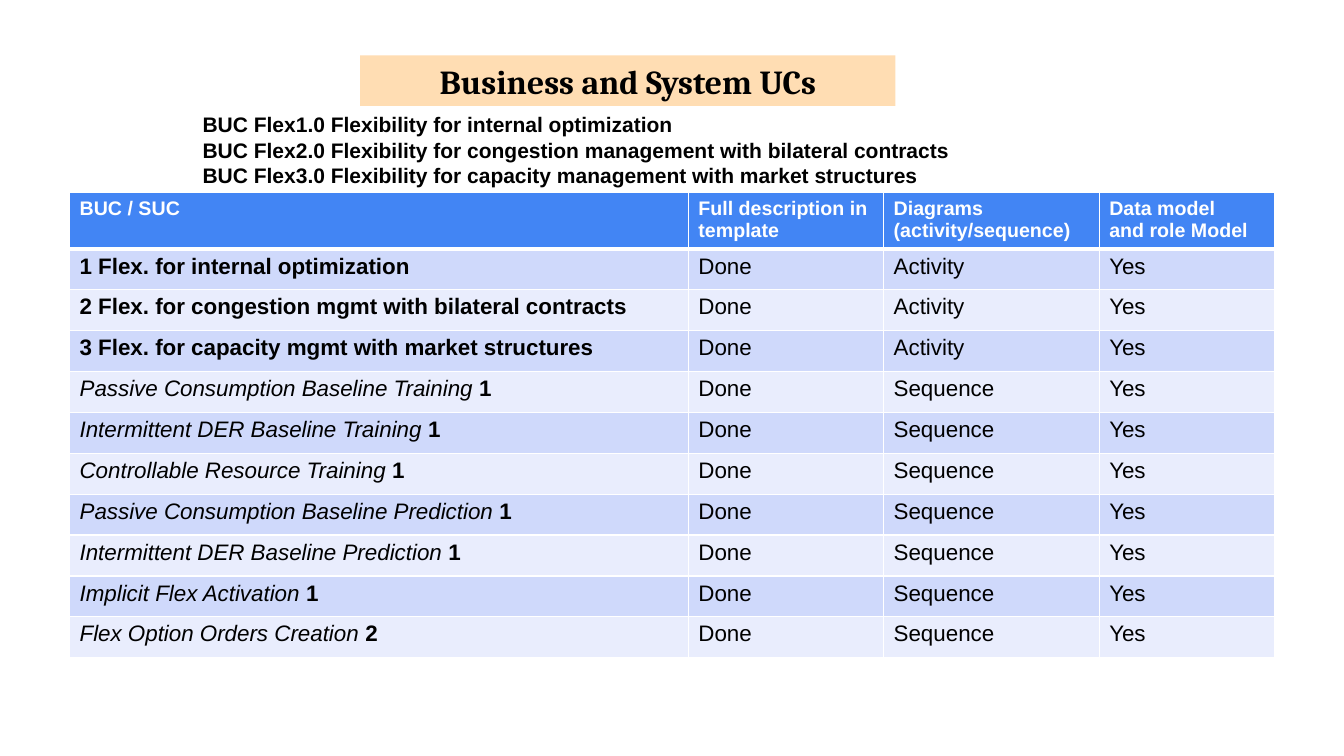
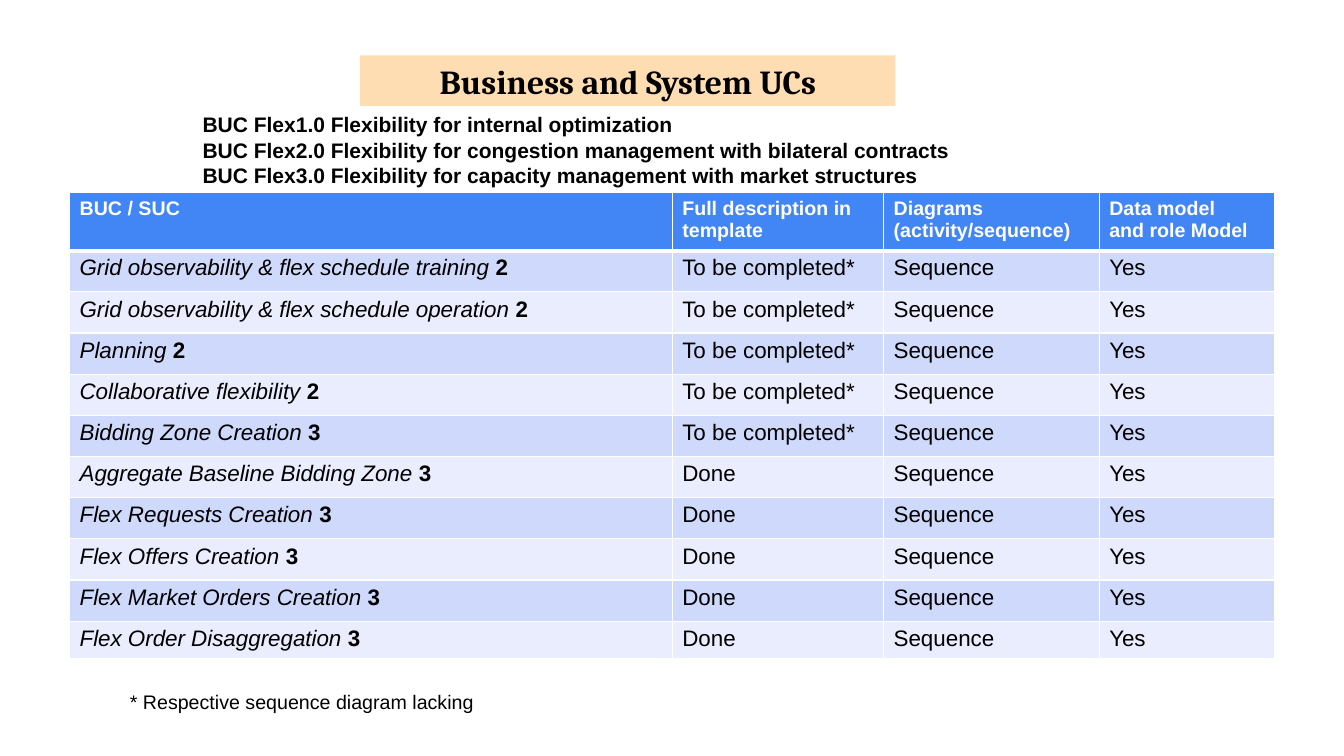
from pptx import Presentation
from pptx.dml.color import RGBColor
from pptx.enum.text import MSO_ANCHOR, MSO_AUTO_SIZE, PP_ALIGN
from pptx.oxml import parse_xml
from pptx.oxml.ns import nsdecls
from pptx.util import Pt

COLORS = {
    "text": "000000",
    "white": "FFFFFF",
    "title_fill": "FFDDB3",
    "header": "4285F4",
    "odd_row": "CFD9FB",
    "even_row": "E9EDFD",
}
FORMATS = {
    "title": {"name": "Cambria", "size": Pt(24), "bold": True},
    "use_case": {"name": "Arial", "size": Pt(15), "bold": True},
    "header": {"name": "Arial", "size": Pt(14), "bold": True},
    "strong": {"name": "Arial", "size": Pt(16), "bold": True},
    "system": {"name": "Arial", "size": Pt(16), "bold": False, "italic": True},
    "plain": {"name": "Arial", "size": Pt(16), "bold": False},
    "footnote": {"name": "Arial", "size": Pt(14)},
}

TITLE = "Business and System UCs"
USE_CASES = [
    "BUC Flex1.0 Flexibility for internal optimization",
    "BUC Flex2.0 Flexibility for congestion management with bilateral contracts",
    "BUC Flex3.0 Flexibility for capacity management with market structures",
]
HEADERS = [
    "BUC / SUC",
    "Full description in template",
    "Diagrams (activity/sequence)",
    "Data model\nand role Model",
]
DONE, PENDING = "Done", "To be completed*"

# Each row: system use case, number of its business use case, description status.
# A business use case has no number.
SLIDES = [
    {
        "rows": [
            ("1 Flex. for internal optimization", None, DONE),
            ("2 Flex. for congestion mgmt with bilateral contracts", None, DONE),
            ("3 Flex. for capacity mgmt with market structures", None, DONE),
            ("Passive Consumption Baseline Training", 1, DONE),
            ("Intermittent DER Baseline Training", 1, DONE),
            ("Controllable Resource Training", 1, DONE),
            ("Passive Consumption Baseline Prediction", 1, DONE),
            ("Intermittent DER Baseline Prediction", 1, DONE),
            ("Implicit Flex Activation", 1, DONE),
            ("Flex Option Orders Creation", 2, DONE),
        ],
        "widths": [442, 139.5, 154, 125.5],
        "heights": [40.3] + [29.2] * 10,
        "footnote": None,
    },
    {
        "rows": [
            ("Grid observability & flex schedule training", 2, PENDING),
            ("Grid observability & flex schedule operation", 2, PENDING),
            ("Planning", 2, PENDING),
            ("Collaborative flexibility", 2, PENDING),
            ("Bidding Zone Creation", 3, PENDING),
            ("Aggregate Baseline Bidding Zone", 3, DONE),
            ("Flex Requests Creation", 3, DONE),
            ("Flex Offers Creation", 3, DONE),
            ("Flex Market Orders Creation", 3, DONE),
            ("Flex Order Disaggregation", 3, DONE),
        ],
        "widths": [430.5, 151, 154, 125.5],
        "heights": [41.6] + [29.4] * 9 + [26.5],
        "footnote": "* Respective sequence diagram lacking",
    },
]


def rgb(color):
    return RGBColor.from_string(COLORS[color])


def fill_solid(part, color):
    part.fill.solid()
    part.fill.fore_color.rgb = rgb(color)


def add_run(paragraph, text, style, color="text"):
    run = paragraph.add_run()
    run.text = text
    for key, value in FORMATS[style].items():
        setattr(run.font, key, value)
    run.font.color.rgb = rgb(color)


def place(shape, left, top, width, height):
    shape.left, shape.top = Pt(left), Pt(top)
    shape.width, shape.height = Pt(width), Pt(height)


def write_lines(frame, lines, style, color="text"):
    for index, line in enumerate(lines):
        paragraph = frame.add_paragraph() if index else frame.paragraphs[0]
        add_run(paragraph, line, style, color)


def set_title(title):
    place(title, 257.3, 39.6, 382.3, 36)
    title._element.spPr.append(parse_xml(
        f'<a:prstGeom {nsdecls("a")} prst="roundRect"><a:avLst/></a:prstGeom>'))
    title.adjustments[0] = 0.32
    fill_solid(title, "title_fill")
    frame = title.text_frame
    frame.auto_size = MSO_AUTO_SIZE.NONE
    frame.vertical_anchor = MSO_ANCHOR.MIDDLE
    write_lines(frame, [TITLE], "title")
    frame.paragraphs[0].alignment = PP_ALIGN.CENTER


def set_use_cases(body):
    place(body, 65.5, 76.3, 845.3, 98)
    frame = body.text_frame
    frame.auto_size = MSO_AUTO_SIZE.NONE
    write_lines(frame, USE_CASES, "use_case")
    for paragraph in frame.paragraphs:
        properties = paragraph._p.get_or_add_pPr()
        properties.set("marL", str(Pt(72)))
        properties.set("indent", "0")
        properties.append(parse_xml(f'<a:buNone {nsdecls("a")}/>'))
        paragraph.space_before = Pt(0)


def style_cell(cell, color, top=1, bottom=1):
    properties = cell._tc.get_or_add_tcPr()
    for side, weight in {"L": 1, "R": 1, "T": top, "B": bottom}.items():
        properties.append(parse_xml(
            f'<a:ln{side} {nsdecls("a")} w="{Pt(weight)}"><a:solidFill>'
            f'<a:srgbClr val="{COLORS["white"]}"/></a:solidFill></a:ln{side}>'))
    fill_solid(cell, color)


def add_status_table(slide, rows, widths, heights):
    table = slide.shapes.add_table(
        len(heights), len(widths), Pt(49.7), Pt(137.5),
        Pt(sum(widths)), Pt(sum(heights))).table
    table.horz_banding = False
    for column, width in zip(table.columns, widths):
        column.width = Pt(width)
    for row, height in zip(table.rows, heights):
        row.height = Pt(height)

    for cell, header in zip(table.rows[0].cells, HEADERS):
        style_cell(cell, "header", bottom=3)
        write_lines(cell.text_frame, header.split("\n"), "header", "white")

    for index, (name, number, status) in enumerate(rows, 1):
        cells = list(table.rows[index].cells)
        for cell in cells:
            style_cell(cell, "odd_row" if index % 2 else "even_row",
                       top=3 if index == 1 else 1)
        label = cells[0].text_frame.paragraphs[0]
        if number:
            add_run(label, name + " ", "system")
            add_run(label, str(number), "strong")
        else:
            add_run(label, name, "strong")
        diagram = "Sequence" if number else "Activity"
        for cell, value in zip(cells[1:], (status, diagram, "Yes")):
            write_lines(cell.text_frame, [value], "plain")


def add_footnote(slide, text):
    footnote = slide.shapes.add_textbox(Pt(85.7), Pt(489.6), Pt(422.6), Pt(24.5))
    footnote.text_frame.word_wrap = True
    write_lines(footnote.text_frame, [text], "footnote")


def main():
    deck = Presentation()
    deck.slide_width, deck.slide_height = Pt(960), Pt(540)
    for content in SLIDES:
        slide = deck.slides.add_slide(deck.slide_layouts[1])
        set_title(slide.shapes.title)
        set_use_cases(slide.placeholders[1])
        add_status_table(slide, content["rows"], content["widths"], content["heights"])
        if content["footnote"]:
            add_footnote(slide, content["footnote"])
    deck.save("out.pptx")


if __name__ == "__main__":
    main()
